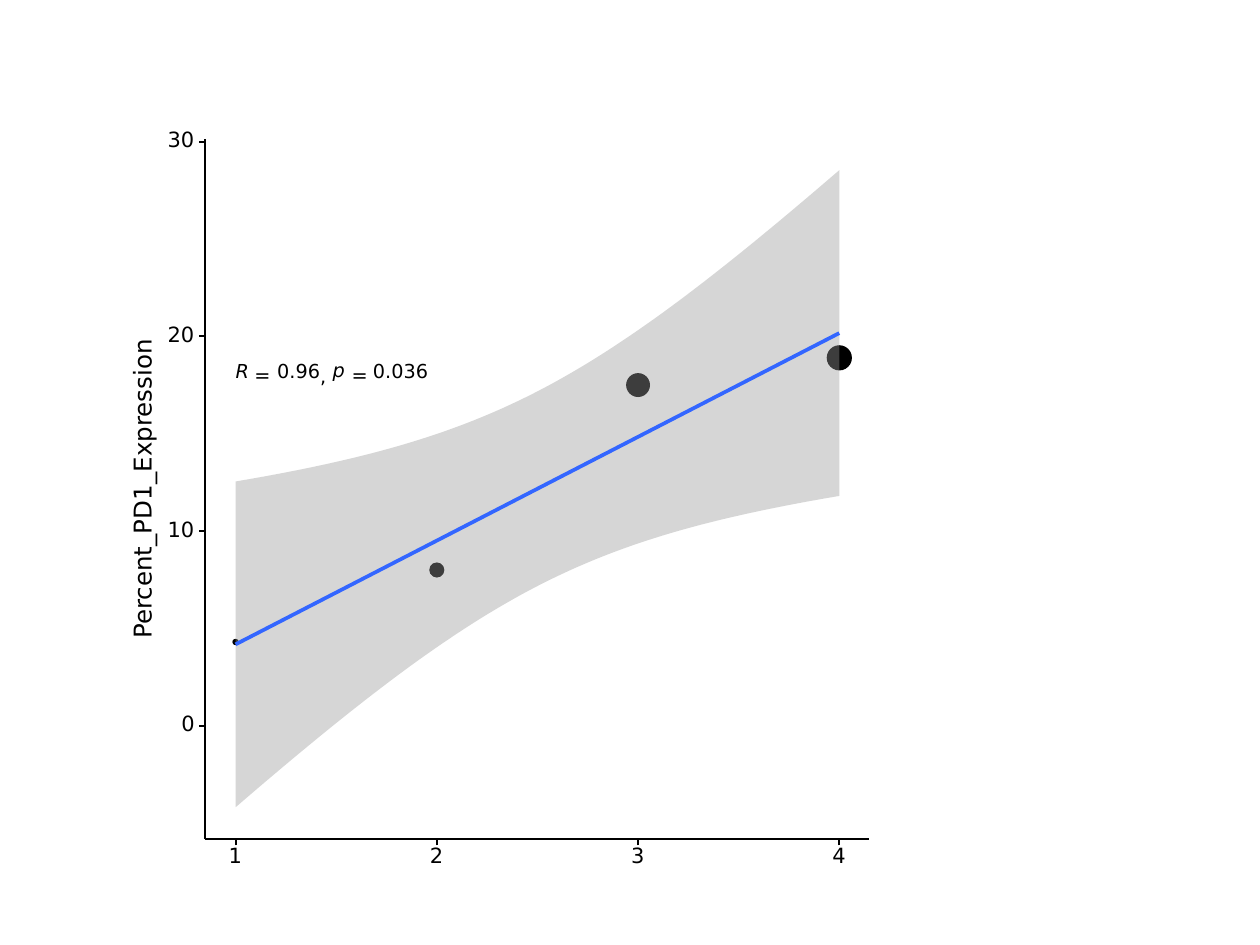
"""Build a slide with a regression plot of PD1 expression."""
import math

import lxml.etree
import pptx
import pptx.dml.color
import pptx.enum.shapes
import pptx.enum.text
import pptx.oxml.ns
import pptx.util

DOTS = [(1, 4.3, 0.04), (2, 8.0, 0.11), (3, 17.5, 0.18), (4, 18.9, 0.19)]
STATS = [
    ("R", 1.87, 2.9, 0.11, 0.11, True),
    ("=", 2.02, 2.97, 0.13, 0.04, False),
    ("0.96", 2.2, 2.9, 0.36, 0.12, False),
    (",", 2.54, 2.98, 0.05, 0.04, False),
    ("p", 2.64, 2.89, 0.1, 0.12, True),
    ("=", 2.79, 2.97, 0.13, 0.04, False),
    ("0.036", 2.96, 2.9, 0.46, 0.12, False),
]
TITLE = "Percent_PD1_Expression"
MARKS = [0, 10, 20, 30]
THEME = {
    "font": "DejaVu Sans", "ink": "000000", "paper": "FFFFFF",
    "band": "999999", "fit": "3366FF", "alpha": 40,
    "stat": 11, "tick": 12, "title": 14,
    "axis": 1.07, "trend": 2.13, "rim": 0.71, "frame": 0.75,
}
LEFT, BASE, RIGHT, TOP = 1.63, 6.66, 6.9, 1.1
TICK, DIGIT, TALL = 0.05, 0.11, 0.13
STEPS, SPREAD = 80, 10

Inches = pptx.util.Inches
Pt = pptx.util.Pt
qn = pptx.oxml.ns.qn
SHAPES = pptx.enum.shapes.MSO_SHAPE

deck = pptx.Presentation()
deck.slide_width, deck.slide_height = Inches(10), Inches(7.5)
slide = deck.slides.add_slide(deck.slide_layouts[6])


def color(name):
    return pptx.dml.color.RGBColor.from_string(THEME[name])


def across(x):
    return 1.87 + (x - 1) * 1.597


def down(y):
    return 5.76 - y * 0.1545


def solid(kind, box, tone, width):
    shape = slide.shapes.add_shape(kind, *map(Inches, box))
    shape.shadow.inherit = False
    shape.fill.solid()
    shape.fill.fore_color.rgb = color(tone)
    shape.line.color.rgb = color(tone)
    shape.line.width = Pt(THEME[width])


def rule(x1, y1, x2, y2, tone="ink", width="axis"):
    kind = pptx.enum.shapes.MSO_CONNECTOR.STRAIGHT
    line = slide.shapes.add_connector(kind, *map(Inches, (x1, y1, x2, y2)))
    line.line.color.rgb = color(tone)
    line.line.width = Pt(THEME[width])
    lxml.etree.SubElement(line._element.spPr, qn("a:effectLst"))


def label(text, box, size, slant=False, turn=0):
    shape = slide.shapes.add_textbox(*map(Inches, box))
    shape.rotation = turn
    frame = shape.text_frame
    frame.margin_left = frame.margin_right = 0
    frame.margin_top = frame.margin_bottom = 0
    frame.word_wrap = False
    frame.vertical_anchor = pptx.enum.text.MSO_ANCHOR.MIDDLE
    frame.text = text
    para = frame.paragraphs[0]
    para.line_spacing = Pt(THEME[size])
    font = para.runs[0].font
    font.name, font.size = THEME["font"], Pt(THEME[size])
    font.color.rgb = color("ink")
    if slant:
        font.italic = True


count = len(DOTS)
xmean = sum(x for x, _, _ in DOTS) / count
ymean = sum(y for _, y, _ in DOTS) / count
total = sum((x - xmean) ** 2 for x, _, _ in DOTS)
slope = sum((x - xmean) * (y - ymean) for x, y, _ in DOTS) / total
first, last = DOTS[0][0], DOTS[-1][0]


def trend(x):
    return ymean + slope * (x - xmean)


def bound(x, side):
    reach = SPREAD * math.sqrt(1 / count + (x - xmean) ** 2 / total)
    return Inches(across(x)), Inches(down(trend(x) + side * reach))


def band():
    grid = [first + (last - first) * i / (STEPS - 1) for i in range(STEPS)]
    edge = [bound(x, 1) for x in grid] + [bound(x, -1) for x in grid[::-1]]
    build = slide.shapes.build_freeform(*edge[0])
    build.add_line_segments(edge[1:], close=True)
    shape = build.convert_to_shape()
    shape.shadow.inherit = False
    shape.fill.solid()
    shape.fill.fore_color.rgb = color("band")
    shape.line.fill.background()
    tint = shape._element.spPr.find(qn("a:solidFill"))[0]
    alpha = lxml.etree.SubElement(tint, qn("a:alpha"))
    alpha.set("val", str(THEME["alpha"] * 1000))


solid(SHAPES.RECTANGLE, (1, 1, 6, 6), "paper", "frame")
for x, y, size in DOTS:
    box = (across(x) - size / 2, down(y) - size / 2, size, size)
    solid(SHAPES.OVAL, box, "ink", "rim")
band()
rule(across(first), down(trend(first)), across(last), down(trend(last)), "fit", "trend")
for text, *box, slant in STATS:
    label(text, box, "stat", slant)

rule(LEFT, BASE, LEFT, TOP)
for mark in MARKS:
    text, y = str(mark), down(mark)
    wide = DIGIT * len(text)
    label(text, (1.55 - wide, y - TALL / 2, wide, TALL), "tick")
    rule(LEFT - TICK, y, LEFT, y)

rule(LEFT, BASE, RIGHT, BASE)
for mark, _, _ in DOTS:
    x = across(mark)
    rule(x, BASE + TICK, x, BASE)
    label(str(mark), (x - DIGIT / 2, 6.74, DIGIT, TALL), "tick")

label(TITLE, (-0.05, 3.78, 2.39, 0.19), "title", turn=270)

deck.save("out.pptx")
